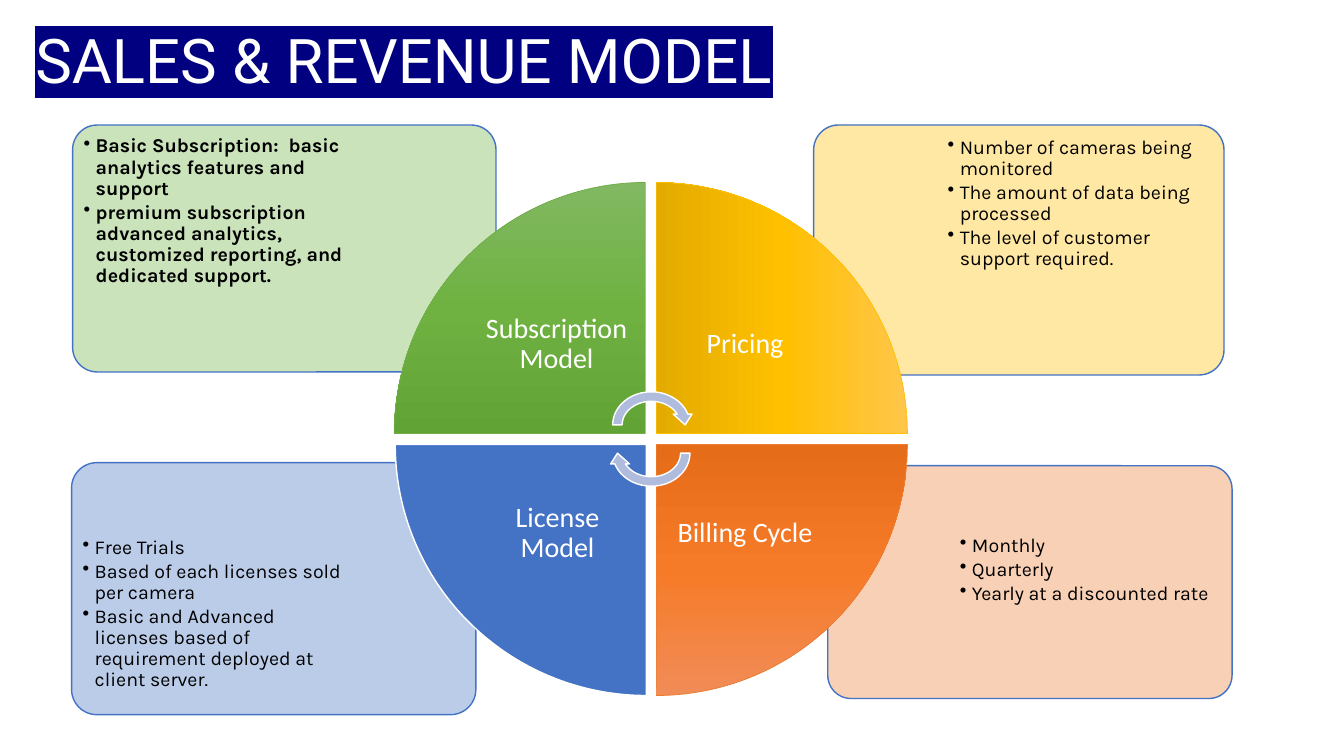
from copy import deepcopy
from dataclasses import dataclass

from lxml import etree
from pptx import Presentation
from pptx import util as u
from pptx.dml.color import RGBColor
from pptx.enum import shapes, text
from pptx.oxml.ns import qn

PX = 9144
WHITE = RGBColor(0xFF, 0xFF, 0xFF)
BLACK = RGBColor(0x00, 0x00, 0x00)
BLUE = RGBColor(0x44, 0x72, 0xC4)
PALE_BLUE = RGBColor(0xB4, 0xC7, 0xE7)
ARROW_BLUE = RGBColor(0xB0, 0xBC, 0xDE)
PALE_GREEN = RGBColor(0xC5, 0xE0, 0xB4)
GREEN = RGBColor(0x70, 0xAD, 0x47)
GREENS = (RGBColor(0x81, 0xB8, 0x61), RGBColor(0x6F, 0xB2, 0x42), RGBColor(0x62, 0xA3, 0x36))
PALE_GOLD = RGBColor(0xFF, 0xE6, 0x99)
GOLD = RGBColor(0xFF, 0xC0, 0x00)
GOLDS = (RGBColor(0xFF, 0xC6, 0x4B), GOLD, RGBColor(0xE3, 0xAB, 0x00))
PALE_ORANGE = RGBColor(0xF8, 0xCB, 0xAD)
ORANGE = RGBColor(0xED, 0x7D, 0x31)
ORANGES = (RGBColor(0xF1, 0x8C, 0x57), RGBColor(0xF6, 0x7B, 0x28), RGBColor(0xE5, 0x6C, 0x19))
HIGHLIGHT = "000080"
WEDGE_SIZE = 249
LABEL_SIZE = 176
LABEL_SHIFT = WEDGE_SIZE - LABEL_SIZE

Rect = tuple[int, int, int, int]


@dataclass(frozen=True)
class Panel:
    """A tinted panel with its bullet list."""

    area: Rect
    list_area: Rect
    color: RGBColor
    items: tuple[str, ...]
    bold: bool = False


@dataclass(frozen=True)
class Wedge:
    """A labelled quarter of the circle."""

    label: str
    left: int
    top: int
    turn: int
    colors: tuple[RGBColor, ...]
    outline: RGBColor
    outline_width: float = 0.5


PANELS = (
    Panel((821, 462, 401, 231), (946, 525, 271, 163), PALE_ORANGE,
          ("Monthly", "Quarterly", "Yearly at a discounted rate")),
    Panel((71, 459, 401, 250), (76, 527, 270, 177), PALE_BLUE,
          ("Free Trials", "Based of each licenses sold per camera",
           "Basic and Advanced licenses based of requirement deployed at client server.")),
    Panel((807, 124, 407, 248), (934, 130, 274, 175), PALE_GOLD,
          ("Number of cameras being monitored", "The amount of data being processed",
           "The level of customer support required.")),
    Panel((72, 124, 420, 245), (77, 129, 283, 173), PALE_GREEN,
          ("Basic Subscription:  basic analytics features and support",
           "premium subscription advanced analytics, customized reporting, and dedicated support."),
          bold=True),
)
WEDGES = (
    Wedge("Subscription Model", 391, 181, 0, GREENS, GREEN),
    Wedge("Pricing", 651, 181, 90, GOLDS, GOLD),
    Wedge("Billing Cycle", 651, 441, 180, ORANGES, ORANGE),
    Wedge("License Model", 392, 441, 270, (BLUE,), WHITE, 1),
)
ARROWS = (((603, 384, 86, 75), 0), ((603, 412, 86, 75), 180))


def emu(area: Rect) -> list[u.Emu]:
    """Convert a rectangle in px to EMU."""
    return [u.Emu(length * PX) for length in area]


def add_outlined(page, kind, area: Rect, outline: RGBColor, width: float = 1, turn: int = 0):
    """Add an outlined preset shape without a shadow."""
    shape = page.shapes.add_shape(kind, *emu(area))
    shape.shadow.inherit = False
    shape.rotation = turn
    shape.line.color.rgb = outline
    shape.line.width = u.Pt(width)
    return shape


def paint(shape, colors: tuple[RGBColor, ...]) -> None:
    """Fill a shape with one colour or an even vertical gradient."""
    if len(colors) == 1:
        shape.fill.solid()
        shape.fill.fore_color.rgb = colors[0]
        return
    shape.fill.gradient()
    shape.fill.gradient_angle = 270
    stops = shape._element.spPr.find(".//" + qn("a:gsLst"))
    for _ in range(len(colors) - len(stops)):
        stops.append(deepcopy(stops[0]))
    for index, (stop, color) in enumerate(zip(shape.fill.gradient_stops, colors)):
        stop.color.rgb = color
        stop.position = index / (len(colors) - 1)


def add_frame(page, area: Rect, inset: int):
    """Add a wrapping text box with equal insets and return its frame."""
    frame = page.shapes.add_textbox(*emu(area)).text_frame
    frame.word_wrap = True
    frame.margin_left = frame.margin_top = u.Emu(inset * PX)
    frame.margin_right = frame.margin_bottom = u.Emu(inset * PX)
    return frame


def style(para, font: str, size: int, color: RGBColor, bold: bool = False) -> None:
    """Set the line spacing and font of a paragraph."""
    para.line_spacing = 0.9
    para.font.name = font
    para.font.size = u.Pt(size)
    para.font.bold = bold
    para.font.color.rgb = color


def add_title(page) -> None:
    """Place and format the highlighted title."""
    title = page.shapes.title
    title.left, title.top, title.width, title.height = emu((25, 27, 1150, 145))
    frame = title.text_frame
    frame.auto_size = text.MSO_AUTO_SIZE.NONE
    frame.vertical_anchor = text.MSO_ANCHOR.MIDDLE
    para = frame.paragraphs[0]
    para.alignment = text.PP_ALIGN.LEFT
    para.line_spacing = 0.9
    span = para.add_run()
    span.text = "SALES & REVENUE MODEL"
    span.font.name = "Roboto"
    span.font.size = u.Pt(44)
    span.font.color.rgb = WHITE
    highlight = etree.Element(qn("a:highlight"))
    etree.SubElement(highlight, qn("a:srgbClr"), val=HIGHLIGHT)
    span.font._element.find(qn("a:solidFill")).addnext(highlight)
    para.add_line_break()


def add_panel(page, panel: Panel) -> None:
    """Draw a panel and its bullets."""
    shape = add_outlined(page, shapes.MSO_SHAPE.ROUNDED_RECTANGLE, panel.area, BLUE)
    shape.adjustments[0] = 0.1
    paint(shape, (panel.color,))
    tint = shape._element.spPr.find(qn("a:solidFill"))[0]
    etree.SubElement(tint, qn("a:alpha"), val="90000")
    frame = add_frame(page, panel.list_area, 6)
    for index, item in enumerate(panel.items):
        para = frame.add_paragraph() if index else frame.paragraphs[0]
        para.text = item
        props = para._p.get_or_add_pPr()
        props.set("marL", str(12 * PX))
        props.set("indent", str(-12 * PX))
        etree.SubElement(props, qn("a:buChar"), char="•")
        para.space_after = u.Pt(2)
        style(para, "Karla", 14, BLACK, panel.bold)


def add_wedge(page, wedge: Wedge) -> None:
    """Draw a quarter of the circle with its label near the centre."""
    area = (wedge.left, wedge.top, WEDGE_SIZE, WEDGE_SIZE)
    shape = add_outlined(page, shapes.MSO_SHAPE.PIE_WEDGE, area, wedge.outline,
                         wedge.outline_width, wedge.turn)
    paint(shape, wedge.colors)
    left = wedge.left + (LABEL_SHIFT if wedge.turn in (0, 270) else 0)
    top = wedge.top + (LABEL_SHIFT if wedge.turn in (0, 90) else 0)
    frame = add_frame(page, (left, top, LABEL_SIZE, LABEL_SIZE), 16)
    frame.vertical_anchor = text.MSO_ANCHOR.MIDDLE
    para = frame.paragraphs[0]
    para.text = wedge.label
    para.alignment = text.PP_ALIGN.CENTER
    style(para, "Calibri", 20, WHITE)


def main() -> None:
    """Build and save the slide."""
    deck = Presentation()
    deck.slide_width, deck.slide_height = u.Emu(1333 * PX), u.Emu(750 * PX)
    page = deck.slides.add_slide(deck.slide_layouts[5])
    add_title(page)
    for panel in PANELS:
        add_panel(page, panel)
    for wedge in WEDGES:
        add_wedge(page, wedge)
    for area, turn in ARROWS:
        arrow = add_outlined(page, shapes.MSO_SHAPE.CIRCULAR_ARROW, area, WHITE, turn=turn)
        paint(arrow, (ARROW_BLUE,))
    deck.save("out.pptx")


if __name__ == "__main__":
    main()
